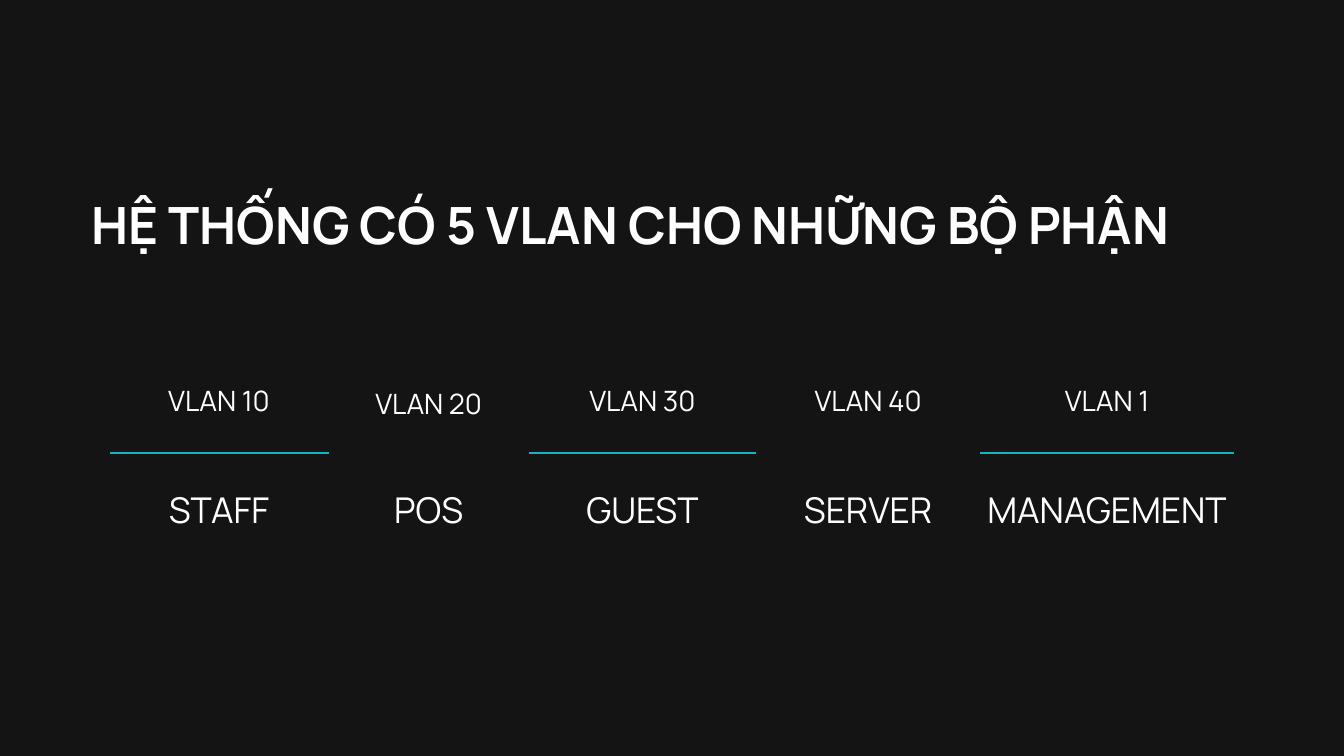
import pptx
import pptx.util
import pptx.dml.color
import pptx.enum.text
import pptx.oxml.ns
from lxml import etree

Inches, Pt = pptx.util.Inches, pptx.util.Pt
ALIGN, ANCHOR = pptx.enum.text.PP_ALIGN, pptx.enum.text.MSO_ANCHOR

WHITE, TEAL, DARK = "FFFFFF", "10B5BF", "141414"


def rgb(value):
    return pptx.dml.color.RGBColor.from_string(value)


class Deck:
    font = "Manrope"

    def __init__(self, prs):
        self.slide = prs.slides.add_slide(prs.slide_layouts[5])
        fill = self.slide.background.fill
        fill.solid()
        fill.fore_color.rgb = rgb(DARK)

    def set_text(self, p, text, size, spacing, align, bold=False):
        p.text = text
        p.alignment = align
        p.line_spacing = Pt(spacing)
        p.space_before = Pt(0)
        p.font.name = self.font
        p.font.size = Pt(size)
        p.font.bold = bold
        p.font.color.rgb = rgb(WHITE)

    def title(self, text, left, top, width, height):
        sp = self.slide.shapes.title
        sp.left, sp.top = Inches(left), Inches(top)
        sp.width, sp.height = Inches(width), Inches(height)
        tf = sp.text_frame
        tf.word_wrap = True
        tf.auto_size = pptx.enum.text.MSO_AUTO_SIZE.NONE
        tf.vertical_anchor = ANCHOR.TOP
        tf.margin_left = tf.margin_top = tf.margin_right = tf.margin_bottom = 0
        self.set_text(tf.paragraphs[0], text, 55, 66, ALIGN.LEFT, bold=True)

    def borders(self, cell, ruled_side):
        """Rule one side of the cell in teal and clear the others."""
        tc_pr = cell._tc.get_or_add_tcPr()
        qn = pptx.oxml.ns.qn
        for side in "LRTB":
            ln = etree.SubElement(tc_pr, qn(f"a:ln{side}"))
            if side == ruled_side:
                ln.set("w", str(Pt(1.5)))
                fill = etree.SubElement(ln, qn("a:solidFill"))
                etree.SubElement(fill, qn("a:srgbClr"), val=TEAL)
            else:
                ln.set("w", "0")
                etree.SubElement(ln, qn("a:noFill"))

    def cell(self, cell, text, size, spacing, ruled_side):
        self.borders(cell, ruled_side)
        cell.fill.background()
        cell.vertical_anchor = ANCHOR.MIDDLE
        cell.margin_left = cell.margin_top = 0
        cell.margin_right = cell.margin_bottom = 0
        self.set_text(cell.text_frame.paragraphs[0], text, size, spacing,
                      ALIGN.CENTER)

    def vlan_table(self, vlans, left, top, col_widths, row_heights):
        table = self.slide.shapes.add_table(
            2, len(vlans), Inches(left), Inches(top),
            Inches(sum(col_widths)), Inches(sum(row_heights))).table
        table.first_row = table.horz_banding = False
        for row, height in zip(table.rows, row_heights):
            row.height = Inches(height)
        for i, (name, department, spacing) in enumerate(vlans):
            table.columns[i].width = Inches(col_widths[i])
            ruled = i % 2 == 0  # every other column has a rule
            self.cell(table.cell(0, i), name, 30, spacing,
                      "B" if ruled else None)
            self.cell(table.cell(1, i), department, 38, 53.2,
                      "T" if ruled else None)


def main():
    prs = pptx.Presentation()
    prs.slide_width, prs.slide_height = Inches(20), Inches(11.25)
    deck = Deck(prs)

    # VLAN names over the departments that use them, with line spacing
    vlans = [("VLAN 10", "STAFF", 36), ("VLAN 20", "POS", 42),
             ("VLAN 30", "GUEST", 36), ("VLAN 40", "SERVER", 36),
             ("VLAN 1", "MANAGEMENT", 36)]
    deck.vlan_table(vlans, 1.63, 5.27, [3.26, 2.98, 3.38, 3.34, 3.77],
                    [1.47, 1.67])

    # Title
    deck.title("HỆ THỐNG CÓ 5 VLAN CHO NHỮNG BỘ PHẬN",
               1.36, 2.88, 17.27, 1.77)

    prs.save("out.pptx")


if __name__ == "__main__":
    main()
